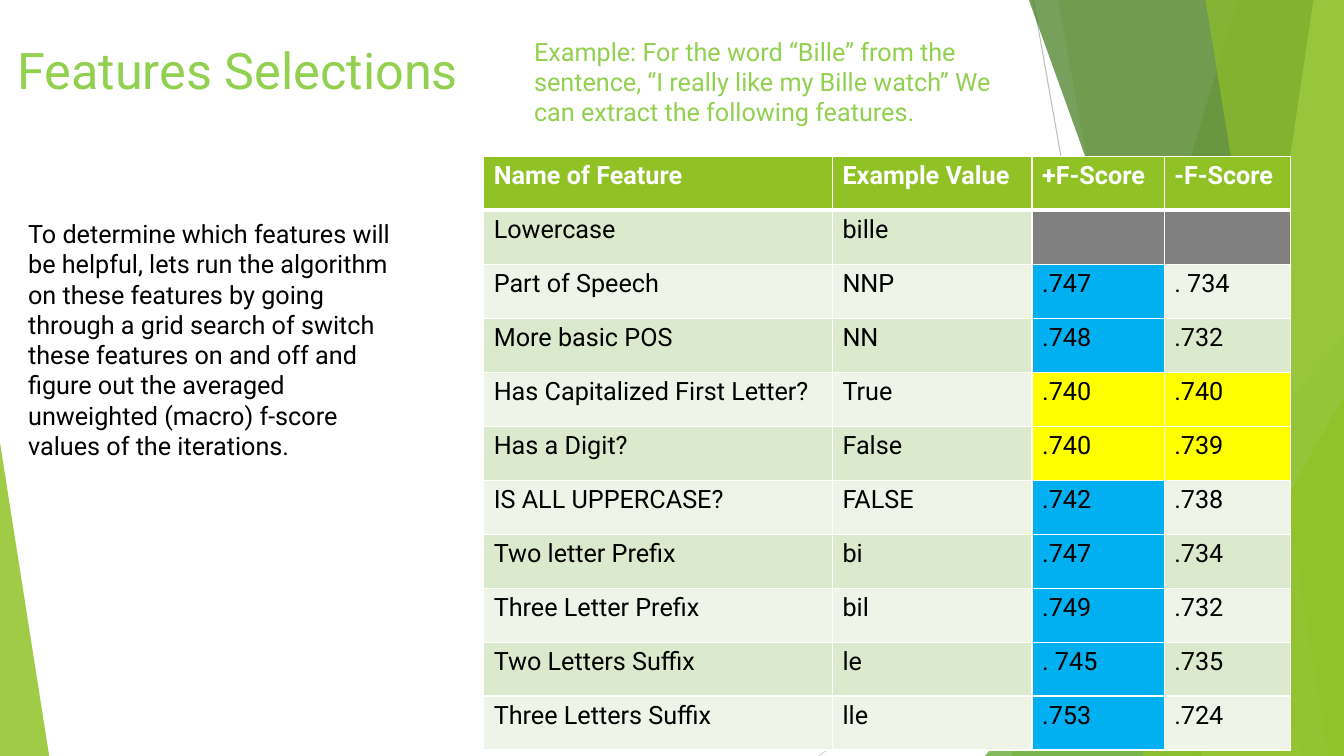
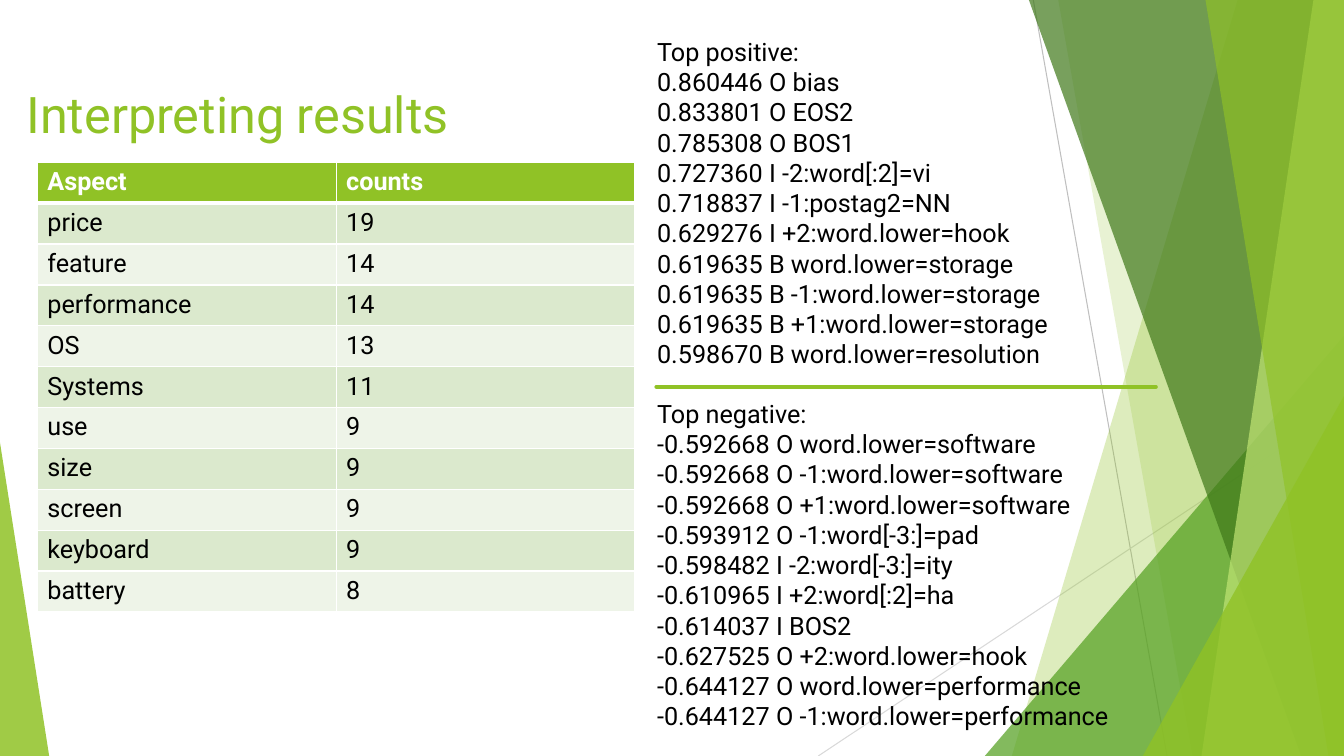
from lxml.etree import SubElement
from pptx import Presentation
from pptx.dml.color import RGBColor
from pptx.enum.shapes import MSO_CONNECTOR, MSO_SHAPE
from pptx.enum.text import MSO_ANCHOR, MSO_AUTO_SIZE, PP_ALIGN
from pptx.oxml import parse_xml
from pptx.oxml.ns import nsdecls, qn
from pptx.util import Cm, Pt

# Shared look
FONT = "Roboto"
TITLE_SIZE, TEXT_SIZE = 36, 18
WIDTH, HEIGHT = 33.87, 19.05
TITLE_ONLY = 5

GREEN = RGBColor(0x90, 0xC2, 0x26)
LIGHT_GREEN = RGBColor(0x92, 0xD0, 0x50)
MID_GREEN = RGBColor(0x54, 0xA0, 0x21)
DARK_GREEN = RGBColor(0x3F, 0x78, 0x19)
PALE_GREEN = RGBColor(0xC0, 0xE4, 0x74)
ODD_ROW = RGBColor(0xDB, 0xE9, 0xCD)
EVEN_ROW = RGBColor(0xEE, 0xF4, 0xE8)
BLUE = RGBColor(0x00, 0xB0, 0xF0)
YELLOW = RGBColor(0xFF, 0xFF, 0x00)
GREY = RGBColor(0x80, 0x80, 0x80)
LINE_GREY = RGBColor(0xBF, 0xBF, 0xBF)
PALE_GREY = RGBColor(0xD9, 0xD9, 0xD9)
WHITE = RGBColor(0xFF, 0xFF, 0xFF)
BLACK = RGBColor(0x00, 0x00, 0x00)

# Content
EXAMPLE = ("Example: For the word “Bille” from the sentence, “I really like my "
           "Bille watch” We can extract the following features.")
METHOD = ("To determine which features will be helpful, lets run the algorithm on "
          "these features by going through a grid search of switch these features "
          "on and off and figure out the averaged unweighted (macro) f-score values "
          "of the iterations.")
FEATURES = [
    ("Name of Feature", "Example Value", "+F-Score", "-F-Score"),
    ("Lowercase", "bille", "", ""),
    ("Part of Speech", "NNP", ".747", ". 734"),
    ("More basic POS", "NN", ".748", ".732"),
    ("Has Capitalized First Letter?", "True", ".740", ".740"),
    ("Has a Digit?", "False", ".740", ".739"),
    ("IS ALL UPPERCASE?", "FALSE", ".742", ".738"),
    ("Two letter Prefix", "bi", ".747", ".734"),
    ("Three Letter Prefix", "bil", ".749", ".732"),
    ("Two Letters Suffix", "le", ". 745", ".735"),
    ("Three Letters Suffix", "lle", ".753", ".724"),
]
ASPECTS = [
    ("Aspect", "counts"), ("price", "19"), ("feature", "14"),
    ("performance", "14"), ("OS", "13"), ("Systems", "11"), ("use", "9"),
    ("size", "9"), ("screen", "9"), ("keyboard", "9"), ("battery", "8"),
]
TOP_POSITIVE = [
    "Top positive:",
    "0.860446 O bias",
    "0.833801 O EOS2",
    "0.785308 O BOS1",
    "0.727360 I -2:word[:2]=vi",
    "0.718837 I -1:postag2=NN",
    "0.629276 I +2:word.lower=hook",
    "0.619635 B word.lower=storage",
    "0.619635 B -1:word.lower=storage",
    "0.619635 B +1:word.lower=storage",
    "0.598670 B word.lower=resolution",
]
TOP_NEGATIVE = [
    "Top negative:",
    "-0.592668 O word.lower=software",
    "-0.592668 O -1:word.lower=software",
    "-0.592668 O +1:word.lower=software",
    "-0.593912 O -1:word[-3:]=pad",
    "-0.598482 I -2:word[-3:]=ity",
    "-0.610965 I +2:word[:2]=ha",
    "-0.614037 I BOS2",
    "-0.627525 O +2:word.lower=hook",
    "-0.644127 O word.lower=performance",
    "-0.644127 O -1:word.lower=performance",
]


def add_run(paragraph, text, color, size=TEXT_SIZE, bold=False):
    run = paragraph.add_run()
    run.text = text
    font = run.font
    font.name, font.size, font.bold = FONT, Pt(size), bold
    font.color.rgb = color


def add_line(slide, start, end, color, weight):
    line = slide.shapes.add_connector(
        MSO_CONNECTOR.STRAIGHT, *(Cm(value) for value in start + end))
    line.line.color.rgb = color
    line.line.width = Pt(weight)
    SubElement(line.element.spPr, qn("a:effectLst"))
    return line


def paint(shape, color, opacity):
    """Flat, partly transparent fill without outline or shadow."""
    shape.shadow.inherit = False
    shape.line.fill.background()
    shape.fill.solid()
    shape.fill.fore_color.rgb = color
    rgb = shape.element.spPr.find(qn("a:solidFill"))[0]
    SubElement(rgb, qn("a:alpha"), val=str(opacity * 1000))


def add_band(slide, top_x, bottom_x, color, opacity):
    """Slanted band that reaches the right edge of the slide."""
    corners = [(WIDTH, 0), (WIDTH, HEIGHT), (bottom_x, HEIGHT)]
    outline = slide.shapes.build_freeform(Cm(top_x), 0)
    outline.add_line_segments([(Cm(x), Cm(y)) for x, y in corners])
    paint(outline.convert_to_shape(), color, opacity)


def add_corner(slide, left, top, right, apex, color, opacity):
    """Triangle that stands on the bottom edge of the slide."""
    corner = slide.shapes.add_shape(
        MSO_SHAPE.ISOSCELES_TRIANGLE, Cm(left), Cm(top),
        Cm(right - left), Cm(HEIGHT - top))
    corner.adjustments[0] = apex
    paint(corner, color, opacity)


def add_backdrop(slide):
    add_line(slide, (26.04, 0), (29.41, HEIGHT), LINE_GREY, 0.75)
    add_line(slide, (WIDTH, 10.24), (20.62, HEIGHT), PALE_GREY, 0.75)
    add_band(slide, 31.19, 25.5, GREEN, 30)
    add_band(slide, 26.67, 30.05, GREEN, 20)
    add_corner(slide, 24.82, 8.46, WIDTH, 1, MID_GREEN, 72)
    add_band(slide, 25.93, 32.79, DARK_GREEN, 70)
    add_band(slide, 33.1, 30.28, PALE_GREEN, 70)
    add_band(slide, 30.38, 33.48, GREEN, 65)
    add_corner(slide, 28.8, 9.98, WIDTH, 1, GREEN, 80)
    add_corner(slide, 0, 11.15, 1.24, 0, GREEN, 85)


def start_slide(prs, title_text, box, color, anchor):
    slide = prs.slides.add_slide(prs.slide_layouts[TITLE_ONLY])
    add_backdrop(slide)
    title = slide.shapes.title
    title.left, title.top, title.width, title.height = (Cm(v) for v in box)
    frame = title.text_frame
    frame.auto_size = MSO_AUTO_SIZE.NONE
    frame.vertical_anchor = anchor
    heading = frame.paragraphs[0]
    heading.alignment = PP_ALIGN.LEFT
    add_run(heading, title_text, color, TITLE_SIZE)
    return slide


def add_text(slide, box, *blocks, color=BLACK):
    """Blocks of lines, one blank line's height apart."""
    frame = slide.shapes.add_textbox(*(Cm(v) for v in box)).text_frame
    frame.word_wrap = True
    paragraph = None
    for block in blocks:
        for index, text in enumerate(block):
            is_first = paragraph is None
            paragraph = frame.paragraphs[0] if is_first else frame.add_paragraph()
            if index == 0 and not is_first:
                paragraph.space_before = Pt(21)
            add_run(paragraph, text, color)


def set_borders(cell, top, bottom):
    """White cell borders; top and bottom weights in points."""
    weights = {"lnL": 1, "lnR": 1, "lnT": top, "lnB": bottom}
    properties = cell._tc.get_or_add_tcPr()
    for index, (side, weight) in enumerate(weights.items()):
        properties.insert(index, parse_xml(
            f'<a:{side} {nsdecls("a")} w="{Pt(weight)}"><a:solidFill>'
            f'<a:srgbClr val="{WHITE}"/></a:solidFill></a:{side}>'))


def add_grid(slide, left, top, col_widths, row_height, rows, fills_for):
    table = slide.shapes.add_table(
        len(rows), len(col_widths), Cm(left), Cm(top),
        Cm(sum(col_widths)), Cm(row_height * len(rows))).table
    for column, width in zip(table.columns, col_widths):
        column.width = Cm(width)
    for r, values in enumerate(rows):
        table.rows[r].height = Cm(row_height)
        is_header = r == 0
        for c, fill in enumerate(fills_for(r, values)):
            cell = table.cell(r, c)
            cell.fill.solid()
            cell.fill.fore_color.rgb = fill
            set_borders(cell, 3 if r == 1 else 1, 3 if is_header else 1)
            if values[c]:
                add_run(cell.text_frame.paragraphs[0], values[c],
                        WHITE if is_header else BLACK, bold=is_header)


def banded_fills(row, values):
    fill = GREEN if row == 0 else ODD_ROW if row % 2 else EVEN_ROW
    return [fill] * len(values)


def score_fills(row, values):
    """Blue marks a helpful feature, yellow one that makes no difference."""
    fills = banded_fills(row, values)
    if row == 0:
        return fills
    if not values[2]:
        return fills[:2] + [GREY, GREY]
    with_feature, without = (float(v.replace(" ", "")) for v in values[2:])
    if with_feature - without < 0.002:
        return fills[:2] + [YELLOW, YELLOW]
    return fills[:2] + [BLUE, fills[3]]


def build_features(prs):
    slide = start_slide(prs, "Features Selections", (0.18, -0.46, 12.55, 4.4),
                        LIGHT_GREEN, MSO_ANCHOR.MIDDLE)
    add_text(slide, (13.21, 0.79, 12.55, 3), [EXAMPLE], color=LIGHT_GREEN)
    add_grid(slide, 12.19, 3.94, [8.79, 5.03, 3.33, 3.18], 1.36,
             FEATURES, score_fills)
    add_text(slide, (0.46, 5.38, 9.65, 6.4), [METHOD])


def build_results(prs):
    slide = start_slide(prs, "Interpreting results", (0.41, 1.96, 23.88, 3.66),
                        GREEN, MSO_ANCHOR.TOP)
    add_grid(slide, 0.94, 4.09, [7.53, 7.53], 1.03, ASPECTS, banded_fills)
    add_text(slide, (16.31, 0.79, 15.95, 17.96), TOP_POSITIVE, TOP_NEGATIVE)
    divider = add_line(slide, (16.54, 9.75), (29.13, 9.75), GREEN, 2.75)
    divider.element.spPr.find(qn("a:ln")).set("cap", "rnd")


def main():
    prs = Presentation()
    prs.slide_width, prs.slide_height = Cm(WIDTH), Cm(HEIGHT)
    build_features(prs)
    build_results(prs)
    prs.save("out.pptx")


if __name__ == "__main__":
    main()
